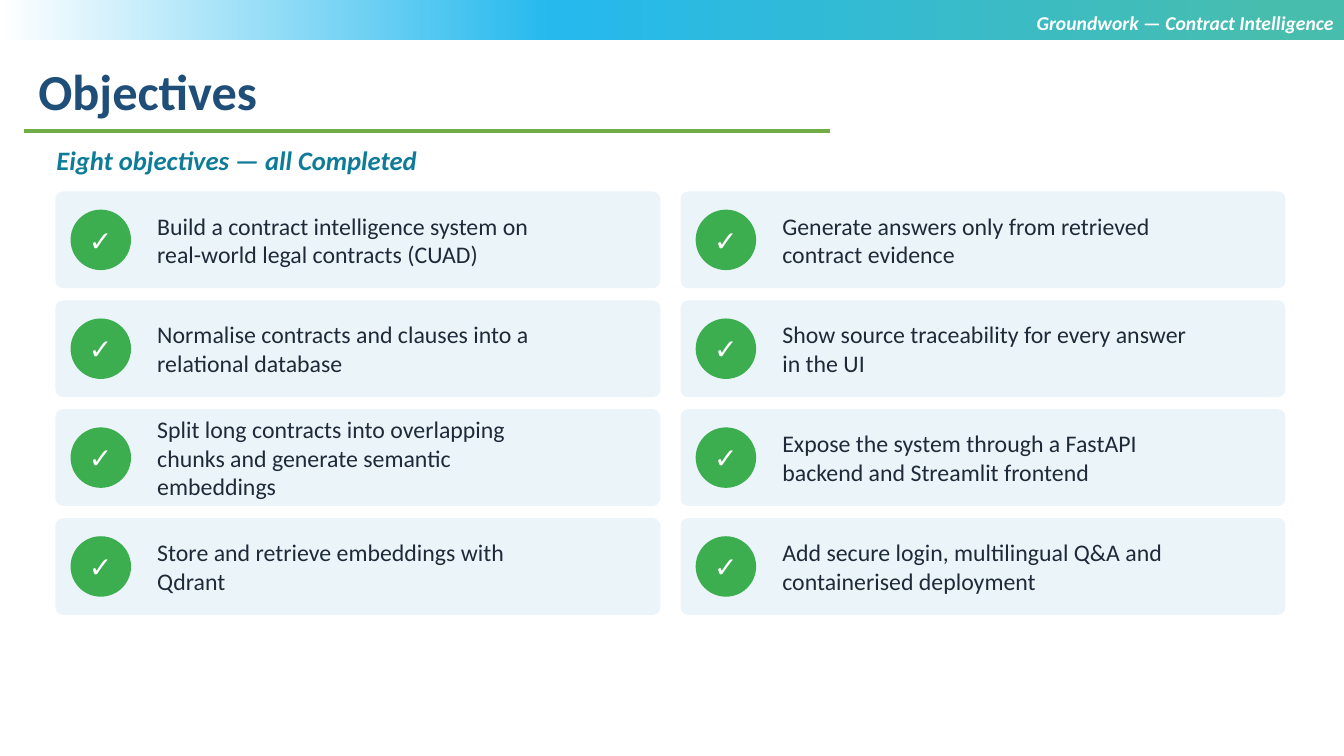
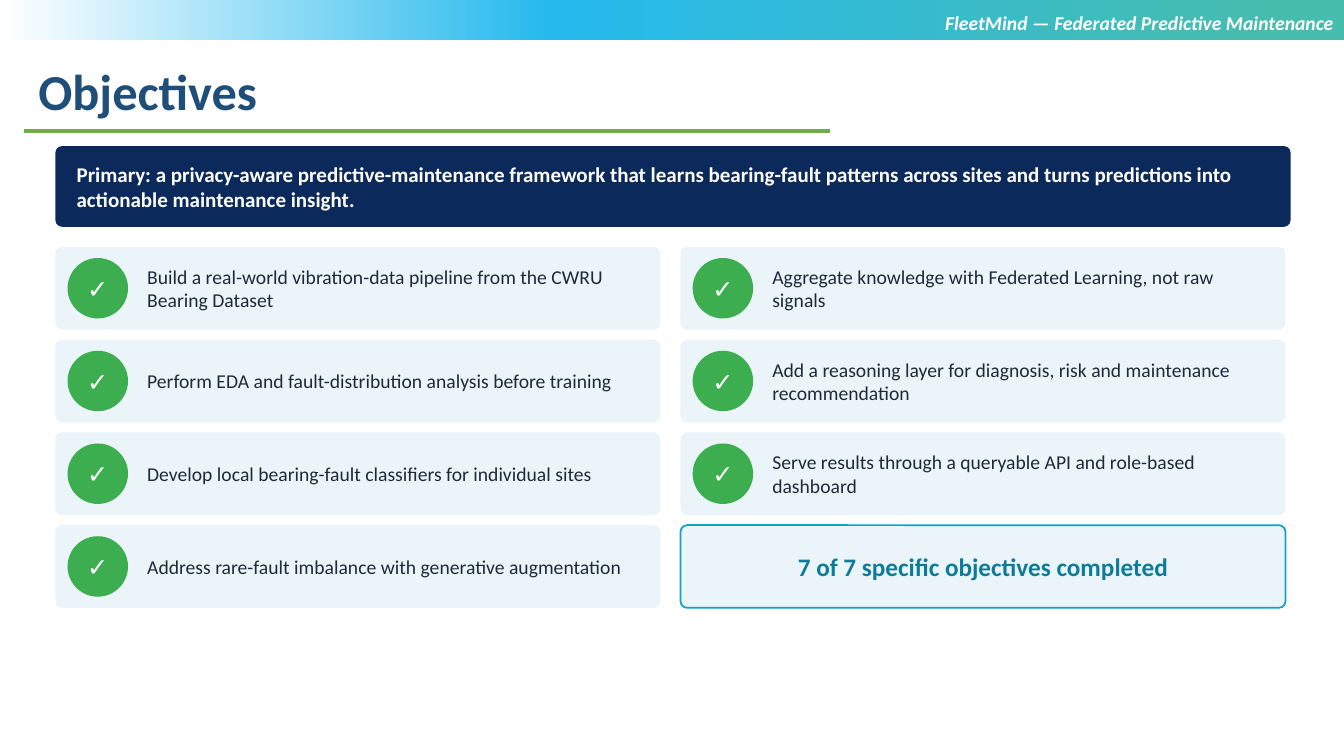
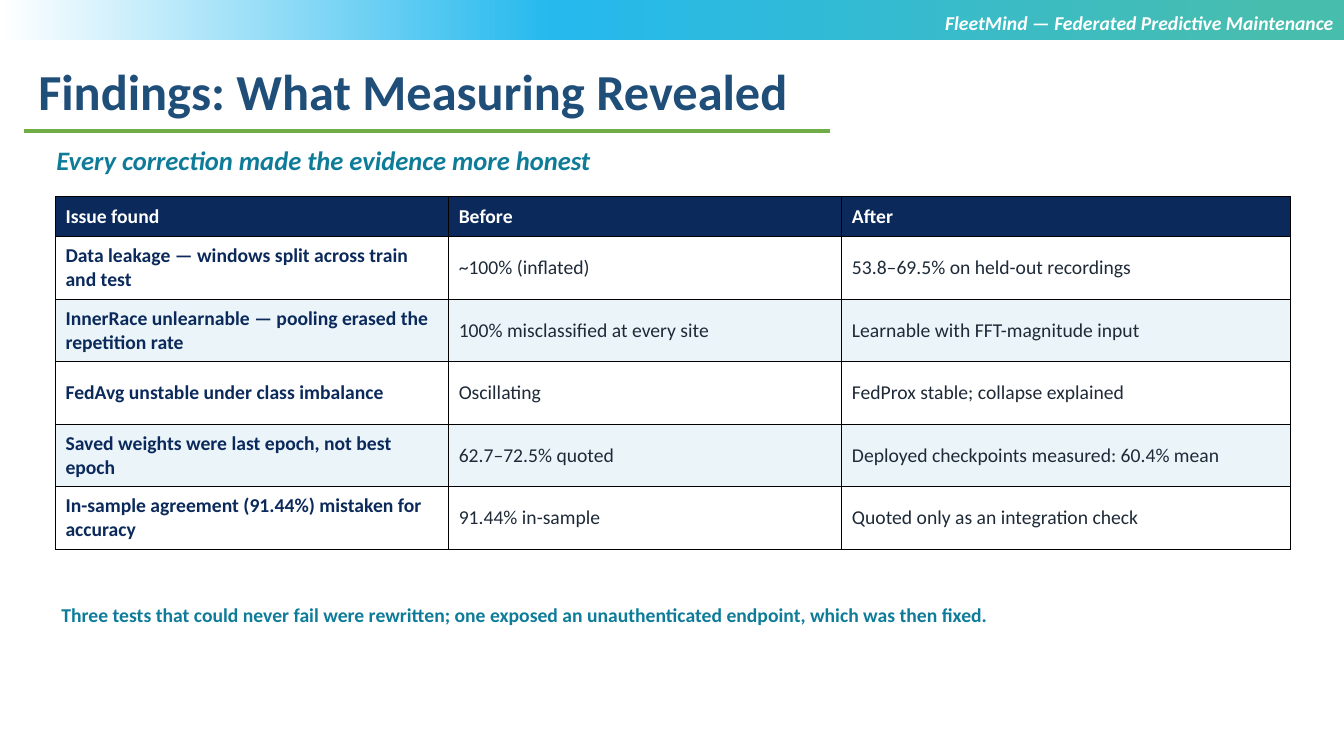
"""Build three project slides: two boards of objectives and a table of findings."""
from lxml import etree
from pptx import Presentation
from pptx import util as u
from pptx.dml.color import RGBColor
from pptx.enum import shapes, text
from pptx.oxml import parse_xml
from pptx.oxml.ns import nsdecls, qn

PX = 9144
FONT = "Calibri"
COLORS = {
    "title": "1F4E79", "rule": "70AD47", "teal": "0E7C99", "edge": "0FA3C7",
    "navy": "0B2A5B", "ink": "1E2A38", "card": "EAF4F9", "tick": "3DAE4F",
    "white": "FFFFFF", "black": "000000",
}
BAND_STOPS = [(5, "47BDAE"), (59, "25B9ED"), (100, "FFFFFF")]
LEFT, TEXT_LEFT, WIDTH = 55, 50, 1225
CARD_WIDTH, COLUMN_STEP, ROWS, TICK = 600, 620, 4, 60
TEXT_INSETS = (6, 3, 6, 3)
FRAME_INSETS = (10, 5, 10, 5)

CONTRACTS = "Groundwork — Contract Intelligence"
FLEET = "FleetMind — Federated Predictive Maintenance"

CONTRACT_GOALS = [
    "Build a contract intelligence system on real-world legal contracts (CUAD)",
    "Normalise contracts and clauses into a relational database",
    "Split long contracts into overlapping chunks and generate semantic embeddings",
    "Store and retrieve embeddings with Qdrant",
    "Generate answers only from retrieved contract evidence",
    "Show source traceability for every answer in the UI",
    "Expose the system through a FastAPI backend and Streamlit frontend",
    "Add secure login, multilingual Q&A and containerised deployment",
]
CONTRACT_BOARD = dict(top=190, height=96, gap=12, tick_left=15, tick_size=20,
                      text_left=95, text_width=420, text_inset=3, size=17)

FLEET_PRIMARY = (
    "Primary: a privacy-aware predictive-maintenance framework that learns bearing-fault "
    "patterns across sites and turns predictions into actionable maintenance insight."
)
FLEET_GOALS = [
    "Build a real-world vibration-data pipeline from the CWRU Bearing Dataset",
    "Perform EDA and fault-distribution analysis before training",
    "Develop local bearing-fault classifiers for individual sites",
    "Address rare-fault imbalance with generative augmentation",
    "Aggregate knowledge with Federated Learning, not raw signals",
    "Add a reasoning layer for diagnosis, risk and maintenance recommendation",
    "Serve results through a queryable API and role-based dashboard",
]
FLEET_SUMMARY = "7 of 7 specific objectives completed"
FLEET_BOARD = dict(top=245, height=82, gap=10, tick_left=12, tick_size=18,
                   text_left=85, text_width=505, text_inset=2, size=14)

FINDINGS = [
    ("Issue found", "Before", "After"),
    ("Data leakage — windows split across train and test",
     "~100% (inflated)", "53.8–69.5% on held-out recordings"),
    ("InnerRace unlearnable — pooling erased the repetition rate",
     "100% misclassified at every site", "Learnable with FFT-magnitude input"),
    ("FedAvg unstable under class imbalance",
     "Oscillating", "FedProx stable; collapse explained"),
    ("Saved weights were last epoch, not best epoch",
     "62.7–72.5% quoted", "Deployed checkpoints measured: 60.4% mean"),
    ("In-sample agreement (91.44%) mistaken for accuracy",
     "91.44% in-sample", "Quoted only as an integration check"),
]
FINDING_COLUMNS = [390, 390, 445]
HEADER_ROW, BODY_ROW = 40, 62
FINDING_NOTE = (
    "Three tests that could never fail were rewritten; one exposed an unauthenticated "
    "endpoint, which was then fixed."
)


def rgb(name):
    return RGBColor.from_string(COLORS[name])


def emu(*lengths):
    return [u.Emu(length * PX) for length in lengths]


def set_text(frame, words, size, color, bold=False, italic=False, align="LEFT",
             anchor="TOP", insets=TEXT_INSETS, after=3):
    frame.text = words
    frame.word_wrap = True
    frame.vertical_anchor = getattr(text.MSO_ANCHOR, anchor)
    (frame.margin_left, frame.margin_top,
     frame.margin_right, frame.margin_bottom) = emu(*insets)
    para = frame.paragraphs[0]
    para.alignment = getattr(text.PP_ALIGN, align)
    para.space_after = u.Pt(after)
    font = para.runs[0].font
    font.name, font.size, font.bold, font.italic = FONT, u.Pt(size), bold, italic
    font.color.rgb = rgb(color)


def add_text(page, place, words, size, color, **style):
    box = page.shapes.add_textbox(*emu(*place))
    set_text(box.text_frame, words, size, color, **style)
    box.text_frame.auto_size = text.MSO_AUTO_SIZE.SHAPE_TO_FIT_TEXT


def add_shape(page, kind, place, fill, edge=None):
    shape = page.shapes.add_shape(getattr(shapes.MSO_SHAPE, kind), *emu(*place))
    shape.shadow.inherit = False
    shape.fill.solid()
    shape.fill.fore_color.rgb = rgb(fill)
    if edge:
        shape.line.color.rgb = rgb(edge)
        shape.line.width = u.Pt(1.25)
    else:
        shape.line.fill.background()
    if kind == "ROUNDED_RECTANGLE":
        shape.adjustments[0] = 0.08
    return shape


def add_furniture(page):
    """Put the gradient band and the title rule on the layout of the page."""
    band = add_shape(page, "RECTANGLE", (0, 0, 1333, 40), "white")
    stops = "".join(f'<a:gs pos="{place * 1000}"><a:srgbClr val="{color}"/></a:gs>'
                    for place, color in BAND_STOPS)
    gradient = parse_xml(f'<a:gradFill {nsdecls("a")} rotWithShape="1"><a:gsLst>{stops}</a:gsLst>'
                         '<a:lin ang="10800000" scaled="0"/></a:gradFill>')
    solid = band.element.spPr.find(qn("a:solidFill"))
    solid.getparent().replace(solid, gradient)
    rule = page.shapes.add_connector(shapes.MSO_CONNECTOR.STRAIGHT, *emu(24, 130, 823, 130))
    rule.line.color.rgb = rgb("rule")
    rule.line.width = u.Pt(2.25)
    etree.SubElement(rule.element.spPr, qn("a:effectLst"))
    tree = page.slide_layout.shapes.element
    for index, item in enumerate((band, rule), start=2):
        tree.insert(index, item.element)


def add_page(deck, project, title, subtitle=None):
    page = deck.slides.add_slide(deck.slide_layouts.get_by_name("Title Only"))
    if len(deck.slides) == 1:
        add_furniture(page)
    heading = page.shapes.title
    heading.left, heading.top, heading.width, heading.height = emu(28, 55, 1162, 70)
    set_text(heading.text_frame, title, 36, "title", bold=True, insets=FRAME_INSETS, after=0)
    heading.text_frame.auto_size = text.MSO_AUTO_SIZE.SHAPE_TO_FIT_TEXT
    add_text(page, (666, 6, 667, 70), project, 14, "white", bold=True, italic=True,
             align="RIGHT", insets=FRAME_INSETS, after=0)
    if subtitle:
        add_text(page, (TEXT_LEFT, 140, 1230, 42), subtitle, 19, "teal", bold=True, italic=True)
    return page


def card_place(index, board):
    column, row = divmod(index, ROWS)
    return (LEFT + column * COLUMN_STEP, board["top"] + row * (board["height"] + board["gap"]),
            CARD_WIDTH, board["height"])


def add_goals(page, goals, board):
    for index, goal in enumerate(goals):
        left, top, width, height = card_place(index, board)
        add_shape(page, "ROUNDED_RECTANGLE", (left, top, width, height), "card")
        tick = add_shape(page, "OVAL", (left + board["tick_left"], top + (height - TICK) // 2,
                                        TICK, TICK), "tick")
        set_text(tick.text_frame, "✓", board["tick_size"], "white", bold=True,
                 align="CENTER", anchor="MIDDLE", insets=(0, 3, 0, 3))
        inset = board["text_inset"]
        add_text(page, (left + board["text_left"], top + inset,
                        board["text_width"], height - 2 * inset),
                 goal, board["size"], "ink", anchor="MIDDLE")


def add_primary(page):
    add_shape(page, "ROUNDED_RECTANGLE", (LEFT, 145, WIDTH, 80), "navy")
    add_text(page, (LEFT + 15, 145, WIDTH - 30, 80), FLEET_PRIMARY, 15, "white",
             bold=True, anchor="MIDDLE")


def add_summary(page):
    left, top, width, height = card_place(len(FLEET_GOALS), FLEET_BOARD)
    add_shape(page, "ROUNDED_RECTANGLE", (left, top, width, height), "card", "edge")
    add_text(page, (left + 5, top, width - 10, height), FLEET_SUMMARY, 18, "teal",
             bold=True, align="CENTER", anchor="MIDDLE")


def set_cell(cell, words, fill, color, bold):
    set_text(cell.text_frame, words, 14, color, bold=bold, after=0)
    cell.vertical_anchor = text.MSO_ANCHOR.MIDDLE
    (cell.margin_left, cell.margin_top,
     cell.margin_right, cell.margin_bottom) = emu(10, 3, 10, 3)
    properties = cell.text_frame._txBody.getparent().get_or_add_tcPr()
    for index, side in enumerate("LRTB"):
        properties.insert(index, parse_xml(
            f'<a:ln{side} {nsdecls("a")} w="9525"><a:solidFill>'
            f'<a:srgbClr val="{COLORS["black"]}"/></a:solidFill></a:ln{side}>'))
    cell.fill.solid()
    cell.fill.fore_color.rgb = rgb(fill)


def add_findings(page):
    heights = [HEADER_ROW] + [BODY_ROW] * (len(FINDINGS) - 1)
    table = page.shapes.add_table(len(FINDINGS), len(FINDING_COLUMNS),
                                  *emu(LEFT, 195, WIDTH, sum(heights))).table
    table.horz_banding = False
    for column, width in zip(table.columns, emu(*FINDING_COLUMNS)):
        column.width = width
    for row, height in zip(table.rows, emu(*heights)):
        row.height = height
    for row, record in enumerate(FINDINGS):
        for column, words in enumerate(record):
            if row == 0:
                fill, color = "navy", "white"
            else:
                fill = "white" if row % 2 else "card"
                color = "ink" if column else "navy"
            set_cell(table.cell(row, column), words, fill, color, bold=row == 0 or column == 0)
    add_text(page, (LEFT, 595, 1220, 50), FINDING_NOTE, 14, "teal", bold=True)


def main():
    deck = Presentation()
    deck.slide_width, deck.slide_height = emu(1333, 750)
    page = add_page(deck, CONTRACTS, "Objectives", "Eight objectives — all Completed")
    add_goals(page, CONTRACT_GOALS, CONTRACT_BOARD)
    page = add_page(deck, FLEET, "Objectives")
    add_primary(page)
    add_goals(page, FLEET_GOALS, FLEET_BOARD)
    add_summary(page)
    page = add_page(deck, FLEET, "Findings: What Measuring Revealed",
                    "Every correction made the evidence more honest")
    add_findings(page)
    deck.save("out.pptx")


if __name__ == "__main__":
    main()
